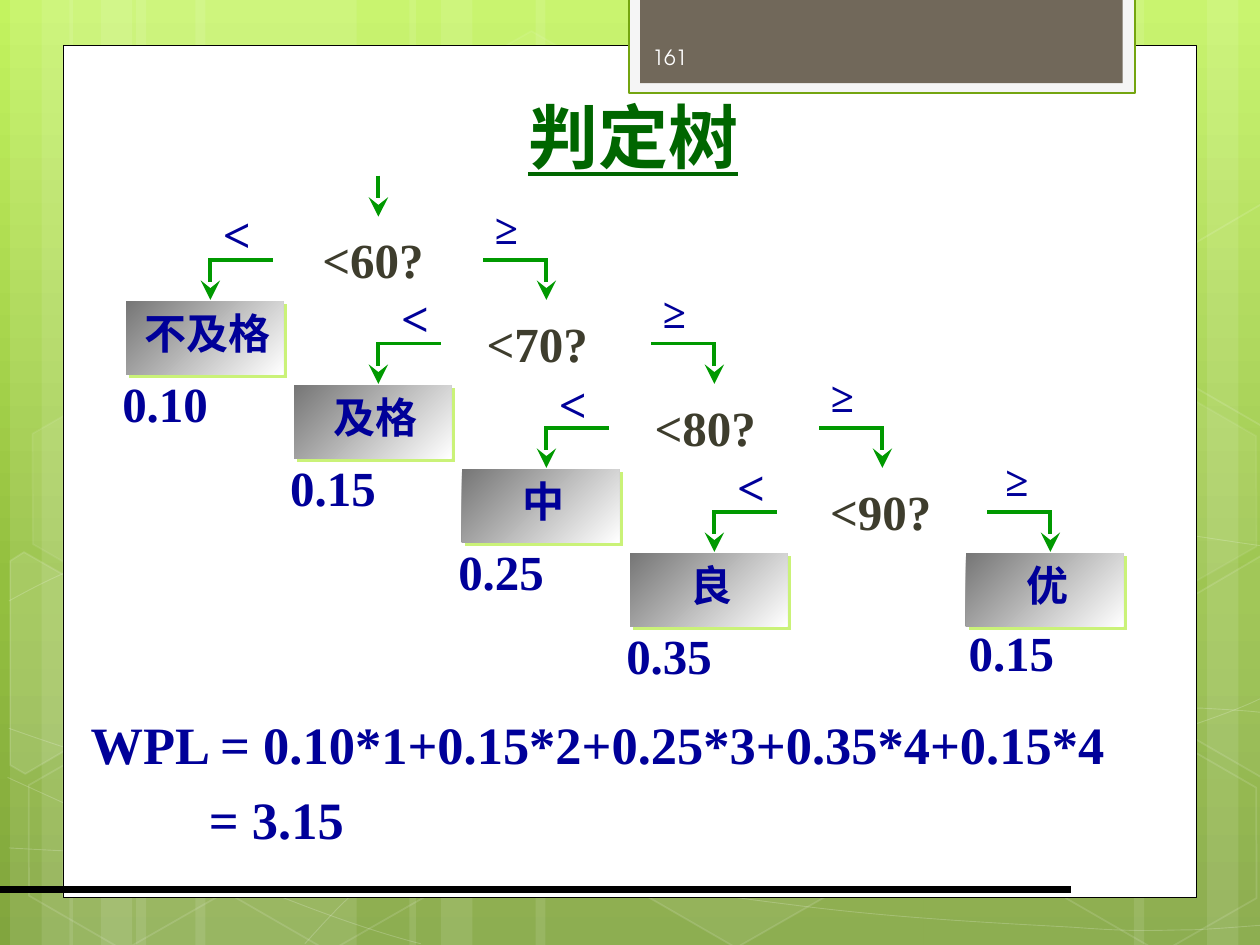
from copy import deepcopy
from math import cos, radians, sin

from pptx import Presentation, util as u
from pptx.dml.color import RGBColor
from pptx.enum import shapes, text
from pptx.oxml import parse_xml
from pptx.oxml.ns import nsdecls, qn

WHITE = RGBColor(0xFF, 0xFF, 0xFF)
BLACK = RGBColor(0, 0, 0)
SKY = [(0, RGBColor(0xC3, 0xF3, 0x5F)), (0.62, RGBColor(0x93, 0xBF, 0x3F)),
       (1, RGBColor(0x81, 0xA5, 0x3E))]
PALE = RGBColor(0xF5, 0xF5, 0xF5)
OLIVE = RGBColor(0x74, 0xA5, 0x10)
TAUPE = RGBColor(0x71, 0x68, 0x5A)
SNOW = RGBColor(0xFE, 0xFE, 0xFE)
GREEN = RGBColor(0, 0x66, 0)
ARM = RGBColor(0, 0x99, 0)
NAVY = RGBColor(0, 0, 0x99)
DARK = RGBColor(0x3E, 0x3D, 0x2D)
GRAY = RGBColor(0x76, 0x76, 0x76)
SHADE = RGBColor(0xCA, 0xF2, 0x78)

KIND = shapes.MSO_SHAPE
MID = text.PP_ALIGN.CENTER
SERIF = {"name": "Times New Roman", "bold": True}
BIG = {**SERIF, "size": u.Pt(28), "color": NAVY}
SMALL = {**BIG, "size": u.Pt(24)}
ASK = {**BIG, "color": DARK}


def inch(*nums):
    return [u.Inches(n) for n in nums]


def fade(shape, route, pct):
    """Make the colour at this place in the shape pct percent opaque."""
    tag = "/".join(qn(t) for t in route.split("/"))
    color = shape.element.spPr.find(tag + "/" + qn("a:srgbClr"))
    color.append(parse_xml(f'<a:alpha {nsdecls("a")} val="{pct * 1000}"/>'))


def paint(shape, fill=None, line=None, width=1.0, clear=None, thin=None):
    shape.shadow.inherit = False
    if fill is None:
        shape.fill.background()
    else:
        shape.fill.solid()
        shape.fill.fore_color.rgb = fill
        if clear:
            fade(shape, "a:solidFill", clear)
    if line is None:
        shape.line.fill.background()
    else:
        shape.line.color.rgb = line
        shape.line.width = u.Pt(width)
        if thin:
            fade(shape, "a:ln/a:solidFill", thin)
    return shape


def block(place, box, kind=KIND.RECTANGLE, **look):
    return paint(place.shapes.add_shape(kind, *inch(*box)), **look)


def outline(place, pts, close, **look):
    pen = place.shapes.build_freeform(*inch(*pts[0]))
    pen.add_line_segments([inch(*p) for p in pts[1:]], close=close)
    return paint(pen.convert_to_shape(), **look)


def curve(place, knots, **look):
    """Chain of cubic curves: a start, then three points per curve."""
    shape = outline(place, knots, False, **look)
    track = shape.element.spPr.find(".//" + qn("a:path"))
    legs = track.findall(qn("a:lnTo"))
    for i in range(0, len(legs), 3):
        bend = parse_xml(f'<a:cubicBezTo {nsdecls("a")}/>')
        for leg in legs[i:i + 3]:
            bend.append(leg[0])
            track.remove(leg)
        track.append(bend)


def stroke(place, start, end, color, width, arrow=False):
    line = place.shapes.add_connector(
        shapes.MSO_CONNECTOR.STRAIGHT, *inch(*start, *end))
    line.line.color.rgb = color
    line.line.width = u.Pt(width)
    if arrow:
        line.line._get_or_add_ln().append(parse_xml(
            f'<a:tailEnd {nsdecls("a")} type="stealth" w="lg" len="lg"/>'))
    line.element.spPr.append(parse_xml(f'<a:effectLst {nsdecls("a")}/>'))


def write(place, box, lines, form, align=MID):
    frame = place.shapes.add_textbox(*inch(*box)).text_frame
    frame.word_wrap = False
    frame.vertical_anchor = text.MSO_ANCHOR.MIDDLE
    frame.text = lines
    for para in frame.paragraphs:
        para.alignment = align
        for key, val in form.items():
            if key == "color":
                para.font.color.rgb = val
            else:
                setattr(para.font, key, val)
    return frame


def label(place, mid, top, words, form, wide=0.88):
    """Text box centred on mid, as tall as its one line."""
    tall = 0.57 if form["size"] == u.Pt(28) else 0.5
    write(place, (mid - wide / 2, top, wide, tall), words, form)


def sky(slide):
    """Three-stop gradient, from top to bottom."""
    fill = slide.background.fill
    fill.gradient()
    stops = slide.element.find(".//" + qn("a:gsLst"))
    stops.append(deepcopy(stops[-1]))
    for stop, (pos, color) in zip(fill.gradient_stops, SKY):
        stop.position, stop.color.rgb = pos, color
    fill.gradient_angle = 270


def decor(place, tall):
    # Light stripes
    for left, width in [(1.08, 1.75), (0.08, 0.5), (0.33, 0.83), (1.55, 1.75),
                        (0.55, 0.5), (0.8, 0.83), (7.33, 1.75), (9.58, 0.5),
                        (9, 0.83), (4.25, 3.08), (3.25, 0.5), (3.5, 0.83)]:
        block(place, (left, 0, width, tall), fill=WHITE, clear=10)

    # Thin curves
    for knots in [
        [(0.07, 6.73), (0.61, 6.76), (1.15, 6.79), (1.9, 6.78), (2.65, 6.77),
         (3.58, 6.75), (4.58, 6.65), (5.58, 6.55), (7, 6.36), (7.92, 6.17),
         (8.83, 5.98), (9.77, 5.68), (10.07, 5.51)],
        [(0.07, 4.77), (0.36, 4.61), (0.65, 4.46), (1.21, 4.31), (1.78, 4.16),
         (2.59, 3.94), (3.47, 3.87), (4.36, 3.8), (5.44, 3.79), (6.54, 3.87),
         (7.64, 3.95), (9.47, 4.26), (10.07, 4.34)],
        [(0.06, 6.17), (1.27, 6.72), (2.47, 7.27), (3.34, 7.49)],
        [(0.07, 5.78), (0.38, 5.89), (0.7, 6), (1.28, 6.16), (1.86, 6.31),
         (2.73, 6.56), (3.57, 6.73), (4.4, 6.9), (5.45, 7.08), (6.28, 7.18),
         (7.11, 7.29), (8, 7.33), (8.53, 7.36), (9.05, 7.4), (9.19, 7.38),
         (9.45, 7.38), (9.71, 7.37), (9.89, 7.35), (10.07, 7.34)],
        [(2.42, 7.49), (2.6, 7.29), (2.78, 7.09), (3.02, 6.91), (3.26, 6.73),
         (3.6, 6.53), (3.88, 6.39), (4.16, 6.25), (4.33, 6.19), (4.7, 6.09),
         (5.06, 5.99), (5.73, 5.85), (6.08, 5.78), (6.44, 5.71), (6.49, 5.71),
         (6.8, 5.69), (7.11, 5.66), (7.6, 5.63), (7.94, 5.62), (8.29, 5.61),
         (8.86, 5.62), (8.86, 5.62), (8.86, 5.62), (9.53, 5.62), (9.53, 5.62),
         (9.71, 5.63), (9.88, 5.64), (9.97, 5.65), (10.06, 5.66),
         (10.03, 5.65), (10.06, 5.66)],
    ]:
        curve(place, knots, line=WHITE, width=0.5, thin=20)

    # Hexagons: left, top, fill and line opacity
    for left, top, clear, thin in [
            (3.34, 0.36, 4, 8), (4.97, 5.89, 6, 12), (0.11, 5.91, 0, 12),
            (0.14, 3.12, 7, 8), (1.74, 5.92, 0, 12), (7.53, 4.53, 10, 12),
            (8.34, 5.93, 0, 12), (8.34, 3.14, 7, 8)]:
        hexa = block(place, (left, top, 1.75, 1.52), KIND.HEXAGON, line=WHITE,
                     fill=WHITE if clear else None, clear=clear, thin=thin)
        hexa.adjustments[0], hexa.adjustments[1] = 0.29, 1.15
        hexa.rotation = 30

    # Hexagons cut by the slide edge, turned about their centres
    left = [(0.08, 4.45), (0.19, 4.38), (0.96, 4.82), (0.95, 5.7),
            (0.2, 6.14), (0.08, 6.07)]
    right = [(9.26, 4.85), (10.01, 4.41), (10.09, 4.46), (10.09, 6.13),
             (10.02, 6.17), (9.26, 5.73)]
    c, s = cos(radians(30)), sin(radians(30))
    for pts, mx, my, rise, clear in [(left, 0.36, 5.35, 0, 10),
                                     (right, 9.85, 5.2, 0, 4),
                                     (right, 9.85, 5.2, 2.79, 0)]:
        flat = [(mx + (x - mx) * c + (y - my) * s,
                 my - rise - (x - mx) * s + (y - my) * c) for x, y in pts]
        outline(place, flat, True, fill=WHITE if clear else None,
                clear=clear, line=WHITE, thin=12).rotation = 30


def page(slide, wide):
    """White page, number tab and rule."""
    block(slide, (0.5, 0.36, wide - 1, 6.76), fill=WHITE, line=BLACK, width=0.5)
    block(slide, (4.99, -0.02, 4.02, 0.76), fill=PALE, line=OLIVE, width=1.25)
    block(slide, (5.08, -0.02, 3.83, 0.68), fill=TAUPE)
    stroke(slide, (0, 7.06), (8.5, 7.06), BLACK, 4.5)


def leaf(place, x, y, grade, odds, dx=0.0, dy=0.0):
    """Grade box under the arrow at x, with its weight below."""
    box = block(place, (x - 0.67, y + 0.33, 1.25, 0.58), fill=GRAY)
    box.fill.gradient()
    box.fill.gradient_angle = 315
    for stop, color in zip(box.fill.gradient_stops, (GRAY, WHITE)):
        stop.color.rgb = color
    box.element.spPr.find(qn("a:effectLst")).append(parse_xml(
        f'<a:outerShdw {nsdecls("a")} dist="35560" dir="2700000" algn="ctr" '
        f'rotWithShape="0"><a:srgbClr val="{SHADE}"/></a:outerShdw>'))
    label(place, x - 0.02, y + 0.33, grade, SMALL, 0.21 + len(grade) / 3)
    label(place, x - 0.36 + dx, y + 0.85 + dy, odds, BIG)


def tree(place, x, y):
    """Decision tree whose first left arm bends at (x, y)."""
    drop, span = 2 / 3, 8 / 3
    # test and its centre, "<" centre and rise, "≥" centre, grade, weight
    rows = [("<60?", 1.29, 0.21, 0.5, 2.35, "不及格", "0.10"),
            ("<70?", 1.26, 0.29, 0.5, 2.35, "及格", "0.15"),
            ("<80?", 1.26, 0.21, 0.48, 2.35, "中", "0.25"),
            ("<90?", 1.32, 0.29, 0.49, 2.4, "良", "0.35")]
    stroke(place, (x + span / 2, y - drop), (x + span / 2, y - 0.34),
           ARM, 2.25, True)
    for i, (test, ask, less, rise, more, grade, odds) in enumerate(rows):
        a, b = x + i * span / 2, y + i * drop
        for end, inner in [(a, a + 0.5), (a + span, a + span - 0.5)]:
            stroke(place, (end, b), (inner, b), ARM, 2.25)
            stroke(place, (end, b - 0.01), (end, b + 0.32), ARM, 2.25, True)
        leaf(place, a, b, grade, odds)
        label(place, a + ask, b - 0.29, test, ASK, 1.01)
        label(place, a + less, b - rise, "<", BIG, 0.42)
        label(place, a + more, b - 0.5, "≥", SMALL, 0.54)
    leaf(place, a + span, b, "优", "0.15", 0.05, -0.02)


def total(slide, box):
    frame = write(slide, box, "WPL = 0.10*1+0.15*2+0.25*3+0.35*4+0.15*4\n= 3.15",
                  {**BIG, "size": u.Pt(30)}, text.PP_ALIGN.LEFT)
    last = frame.paragraphs[1]
    last.space_before = u.Pt(7)
    last._p.get_or_add_pPr().set("marL", str(u.Inches(0.94)))


def main():
    deck = Presentation()
    deck.slide_width, deck.slide_height = inch(10, 7.5)
    slide = deck.slides.add_slide(deck.slide_layouts[6])
    sky(slide)
    decor(slide.shapes.add_group_shape(), 7.5)
    page(slide, 10)
    write(slide, (5.08, 0.25, 1.46, 0.4), "161",
          {"name": "TeX Gyre Adventor", "size": u.Pt(12), "color": SNOW},
          text.PP_ALIGN.LEFT)
    write(slide, (4.09, 0.69, 1.87, 0.77), "判定树",
          {**SERIF, "size": u.Pt(40), "color": GREEN, "underline": True})
    tree(slide.shapes.add_group_shape(), 1.67, 2.06)
    total(slide, (0.62, 5.6, 8.28, 1.2))
    deck.save("out.pptx")


if __name__ == "__main__":
    main()
